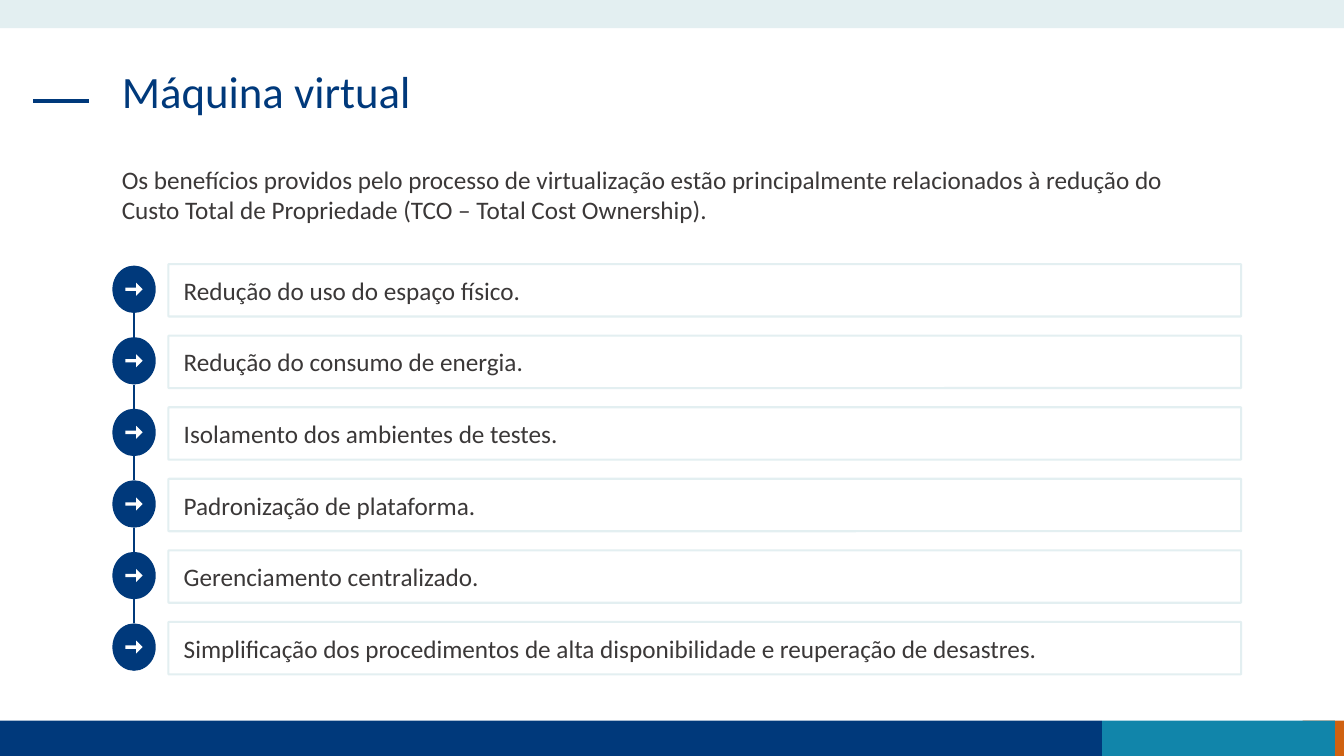
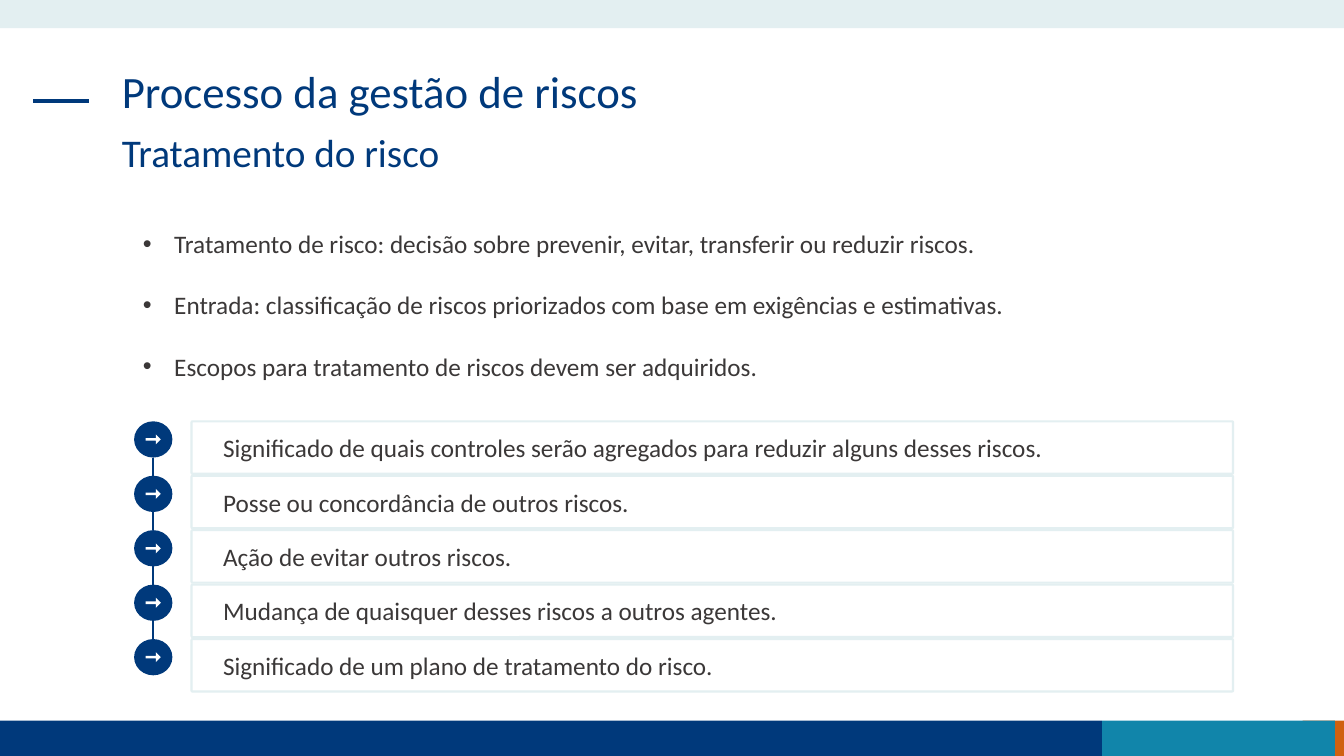
from lxml import etree
from pptx import Presentation
from pptx.dml.color import RGBColor
from pptx.enum.shapes import MSO_CONNECTOR, MSO_SHAPE
from pptx.enum.text import MSO_ANCHOR, PP_ALIGN
from pptx.oxml.ns import qn
from pptx.util import Inches, Pt

NAVY, TEAL, ORANGE = "00397B", "1185AA", "D06110"
MIST, INK, WHITE = "E3EFF1", "3B3838", "FFFFFF"
FONT = "Calibri"
SLIDE_WIDTH, SLIDE_HEIGHT = 13.33, 7.5
TEXT_LEFT, TEXT_WIDTH = 1.11, 11.1


def rgb(hex_colour):
    return RGBColor.from_string(hex_colour)


def write(frame, *lines, size=18, colour=INK, spacing=None, gap=0, bullet_indent=None):
    """Fill a text frame with one paragraph per line."""
    frame.word_wrap = True
    for index, line in enumerate(lines):
        paragraph = frame.paragraphs[0] if index == 0 else frame.add_paragraph()
        if bullet_indent:
            properties = paragraph._p.get_or_add_pPr()
            properties.set("marL", str(Inches(bullet_indent)))
            properties.set("indent", str(-Inches(bullet_indent)))
            etree.SubElement(properties, qn("a:buFont")).set("typeface", "Arial")
            etree.SubElement(properties, qn("a:buChar")).set("char", "•")
        paragraph.alignment = PP_ALIGN.LEFT
        if spacing:
            paragraph.line_spacing = spacing
        if index and gap:
            paragraph.space_before = Pt(gap)
        run = paragraph.add_run()
        run.text = line
        run.font.name = FONT
        run.font.size = Pt(size)
        run.font.color.rgb = rgb(colour)


class Deck:
    def __init__(self):
        self.presentation = Presentation()
        self.presentation.slide_width = Inches(SLIDE_WIDTH)
        self.presentation.slide_height = Inches(SLIDE_HEIGHT)
        self.slide = None

    def start_slide(self, title):
        """Add a slide with the shared bands, accent line and title."""
        self.slide = self.presentation.slides.add_slide(self.presentation.slide_layouts[6])
        footer_top, footer_height = 7.15, 0.35
        for left, width, colour in ((12.92, 0.41, ORANGE), (0, 10.93, NAVY), (10.93, 2.31, TEAL)):
            self.shape(MSO_SHAPE.RECTANGLE, left, footer_top, width, footer_height, fill=colour)
        self.shape(MSO_SHAPE.RECTANGLE, 0, 0, SLIDE_WIDTH, 0.28, fill=MIST)
        self.line(0.33, 1, 0.88, 1, weight=3)
        self.heading(title, 0.64, 0.94, size=32)

    def shape(self, preset, left, top, width, height, fill=None, outline=None):
        shape = self.slide.shapes.add_shape(
            preset, Inches(left), Inches(top), Inches(width), Inches(height))
        shape.shadow.inherit = False
        if fill:
            shape.fill.solid()
            shape.fill.fore_color.rgb = rgb(fill)
        else:
            shape.fill.background()
        if outline:
            shape.line.color.rgb = rgb(outline)
            shape.line.width = Pt(1.5)
        else:
            shape.line.fill.background()
        return shape

    def line(self, x1, y1, x2, y2, weight=1.5):
        connector = self.slide.shapes.add_connector(
            MSO_CONNECTOR.STRAIGHT, Inches(x1), Inches(y1), Inches(x2), Inches(y2))
        connector.line.color.rgb = rgb(NAVY)
        connector.line.width = Pt(weight)
        etree.SubElement(connector._element.spPr, qn("a:effectLst"))

    def text(self, *lines, left=TEXT_LEFT, top, width=TEXT_WIDTH, height, **style):
        box = self.slide.shapes.add_textbox(
            Inches(left), Inches(top), Inches(width), Inches(height))
        write(box.text_frame, *lines, **style)

    def heading(self, heading, top, height, size):
        self.text(heading, top=top, height=height, size=size, colour=NAVY, spacing=0.9)

    def marker(self, centre_x, centre_y, circle_size, arrow_size):
        """Draw a white arrow centred on a navy ellipse."""
        for preset, (width, height), colour in (
                (MSO_SHAPE.OVAL, circle_size, NAVY),
                (MSO_SHAPE.RIGHT_ARROW, arrow_size, WHITE)):
            part = self.shape(preset, centre_x - width / 2, centre_y - height / 2,
                              width, height, fill=colour)
        part.adjustments[0] = 0.255

    def item(self, label, left, top, width, height, inset):
        box = self.shape(MSO_SHAPE.ROUNDED_RECTANGLE, left, top, width, height, outline=MIST)
        box.adjustments[0] = 0.016
        box.text_frame.margin_left = Inches(inset)
        box.text_frame.vertical_anchor = MSO_ANCHOR.MIDDLE
        write(box.text_frame, label)

    def arrow_list(self, labels, top, pitch, left, width, inset,
                   marker_x, marker_drop, circle_size, arrow_size):
        """Stack outlined items beside a chain of arrow markers."""
        radius = circle_size[1] / 2
        for row, label in enumerate(labels):
            row_top = top + row * pitch
            marker_y = row_top + marker_drop
            self.item(label, left, row_top, width, 0.52, inset)
            if row:
                self.line(marker_x, marker_y - pitch + radius, marker_x, marker_y - radius)
            self.marker(marker_x, marker_y, circle_size, arrow_size)


def main():
    deck = Deck()

    deck.start_slide("Máquina virtual")
    deck.text(
        "Os benefícios providos pelo processo de virtualização estão principalmente "
        "relacionados à redução do Custo Total de Propriedade (TCO – Total Cost Ownership).",
        top=1.58, height=0.71)
    deck.arrow_list(
        ("Redução do uso do espaço físico.",
         "Redução do consumo de energia.",
         "Isolamento dos ambientes de testes.",
         "Padronização de plataforma.",
         "Gerenciamento centralizado.",
         "Simplificação dos procedimentos de alta disponibilidade e reuperação de desastres."),
        top=2.62, pitch=0.71, left=1.67, width=10.64, inset=0.15,
        marker_x=1.33, marker_drop=0.25, circle_size=(0.43, 0.47), arrow_size=(0.17, 0.13))

    deck.start_slide("Processo da gestão de riscos")
    deck.heading("Tratamento do risco", 1.28, 0.59, size=28)
    deck.text(
        "Tratamento de risco: decisão sobre prevenir, evitar, transferir ou reduzir riscos.",
        "Entrada: classificação de riscos priorizados com base em exigências e estimativas.",
        "Escopos para tratamento de riscos devem ser adquiridos.",
        left=1.32, top=2.22, width=10.9, height=1.62, gap=22, bullet_indent=0.31)
    deck.arrow_list(
        ("Significado de quais controles serão agregados para reduzir alguns desses riscos.",
         "Posse ou concordância de outros riscos.",
         "Ação de evitar outros riscos.",
         "Mudança de quaisquer desses riscos a outros agentes.",
         "Significado de um plano de tratamento do risco."),
        top=4.18, pitch=0.54, left=1.9, width=10.33, inset=0.31,
        marker_x=1.52, marker_drop=0.18, circle_size=(0.38, 0.36), arrow_size=(0.15, 0.1))

    deck.presentation.save("out.pptx")


if __name__ == "__main__":
    main()
